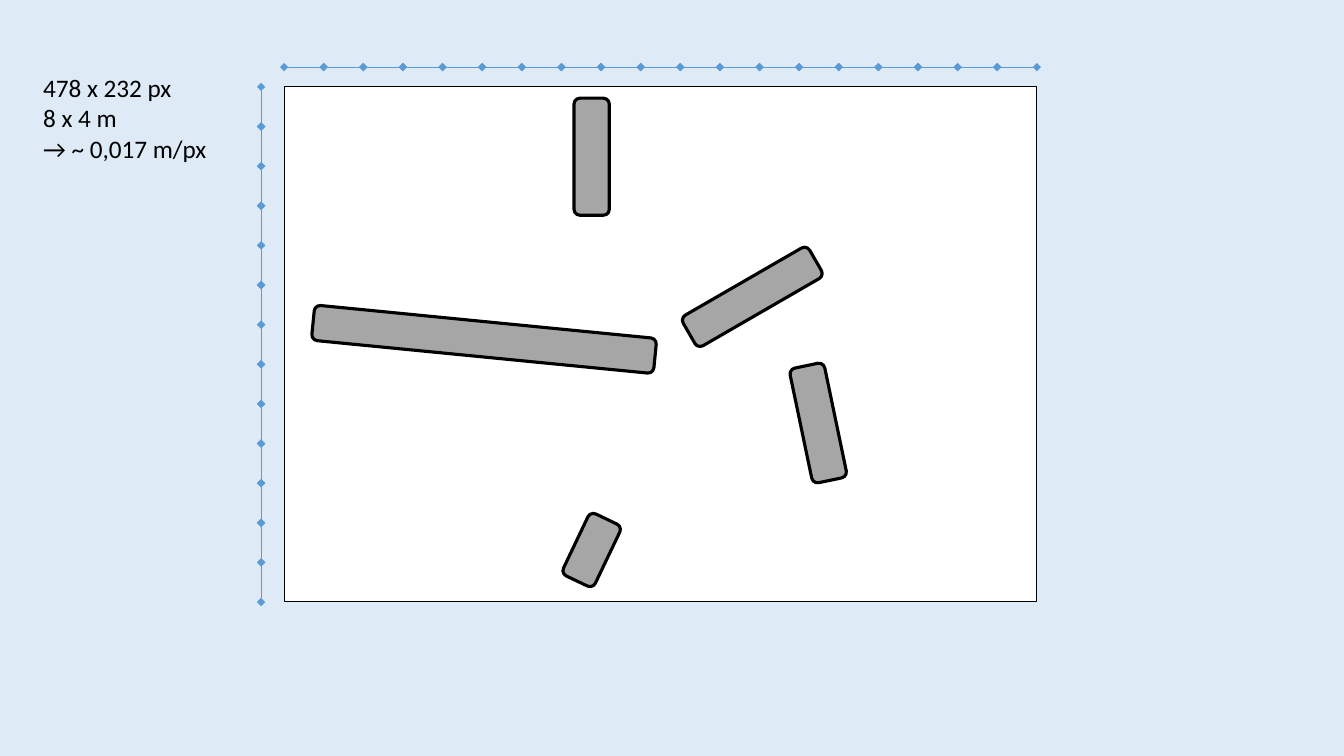
from lxml.etree import SubElement
from pptx import Presentation
from pptx.dml.color import RGBColor
from pptx.enum.shapes import MSO_CONNECTOR, MSO_SHAPE
from pptx.enum.text import MSO_AUTO_SIZE
from pptx.oxml.ns import qn
from pptx.util import Cm, Pt

COLORS = {
    "background": "DEEBF7",
    "room": "FFFFFF",
    "wall": "A6A6A6",
    "outline": "000000",
    "ruler": "5B9BD5",
    "text": "000000",
}
ROOM_X, ROOM_Y, ROOM_W, ROOM_H = 7.16, 2.19, 18.97, 12.98
RULER_X, RULER_Y = 6.58, 1.69
COLUMNS, ROWS = 19, 13
WALL_THICKNESS = 0.89
WALLS = [
    (14.91, 3.95, 2.95, 90),
    (18.96, 7.48, 3.68, 330),
    (12.2, 8.55, 8.66, 5.6),
    (20.62, 10.66, 2.95, 78.2),
    (14.91, 13.86, 1.73, 115.5),
]
NOTES = ["478 x 232 px", "8 x 4 m", "→ ~ 0,017 m/px"]


def rgb(name):
    return RGBColor.from_string(COLORS[name])


def set_format(target, values):
    for name, value in values.items():
        setattr(target, name, value)


def add_box(s, kind, x, y, w, h, fill, line_width, rotation=0):
    sp = s.shapes.add_shape(kind, Cm(x), Cm(y), Cm(w), Cm(h))
    sp.shadow.inherit = False
    sp.rotation = rotation
    sp.fill.solid()
    sp.fill.fore_color.rgb = rgb(fill)
    sp.line.color.rgb = rgb("outline")
    sp.line.width = Pt(line_width)


def add_wall(s, center_x, center_y, length, rotation):
    x, y = center_x - length / 2, center_y - WALL_THICKNESS / 2
    add_box(s, MSO_SHAPE.ROUNDED_RECTANGLE, x, y, length, WALL_THICKNESS,
            "wall", 2.25, rotation)


def add_segment(group, x1, y1, x2, y2):
    cxn = group.shapes.add_connector(
        MSO_CONNECTOR.STRAIGHT, Cm(x1), Cm(y1), Cm(x2), Cm(y2))
    cxn.line.color.rgb = rgb("ruler")
    cxn.line.width = Pt(0.5)
    ln = cxn.line._get_or_add_ln()
    for end in ("a:headEnd", "a:tailEnd"):
        SubElement(ln, qn(end), type="diamond")
    SubElement(cxn._element.spPr, qn("a:effectLst"))


def add_ruler(s, x, y, dx, dy, count):
    group = s.shapes.add_group_shape()
    for i in range(count):
        add_segment(group, x + i * dx, y + i * dy,
                    x + (i + 1) * dx, y + (i + 1) * dy)


def add_text(s, x, y, w, h, lines):
    tf = s.shapes.add_textbox(Cm(x), Cm(y), Cm(w), Cm(h)).text_frame
    set_format(tf, {"word_wrap": False,
                    "auto_size": MSO_AUTO_SIZE.SHAPE_TO_FIT_TEXT})
    for i, line in enumerate(lines):
        p = tf.add_paragraph() if i else tf.paragraphs[0]
        r = p.add_run()
        r.text = line
        set_format(r.font, {"name": "Calibri", "size": Pt(18)})
        r.font.color.rgb = rgb("text")


def main():
    prs = Presentation()
    set_format(prs, {"slide_width": Cm(33.87), "slide_height": Cm(19.05)})
    s = prs.slides.add_slide(prs.slide_layouts[6])
    s.background.fill.solid()
    s.background.fill.fore_color.rgb = rgb("background")

    add_box(s, MSO_SHAPE.RECTANGLE, ROOM_X, ROOM_Y, ROOM_W, ROOM_H, "room", 0.75)
    add_ruler(s, RULER_X, ROOM_Y, 0, ROOM_H / ROWS, ROWS)
    add_ruler(s, ROOM_X, RULER_Y, ROOM_W / COLUMNS, 0, COLUMNS)
    add_text(s, 0.84, 1.7, 4.72, 2.57, NOTES)
    for wall in WALLS:
        add_wall(s, *wall)

    prs.save("out.pptx")


main()
